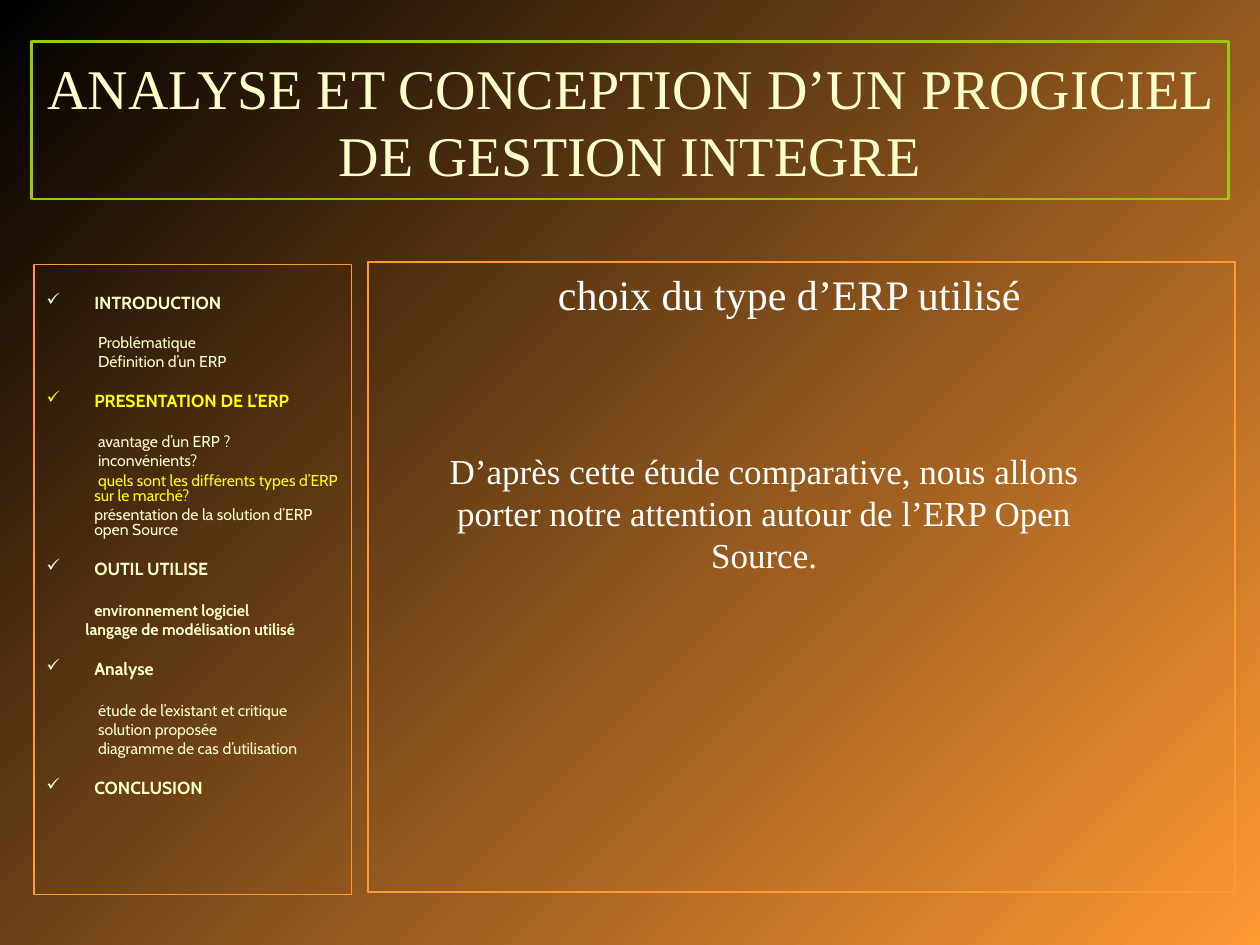
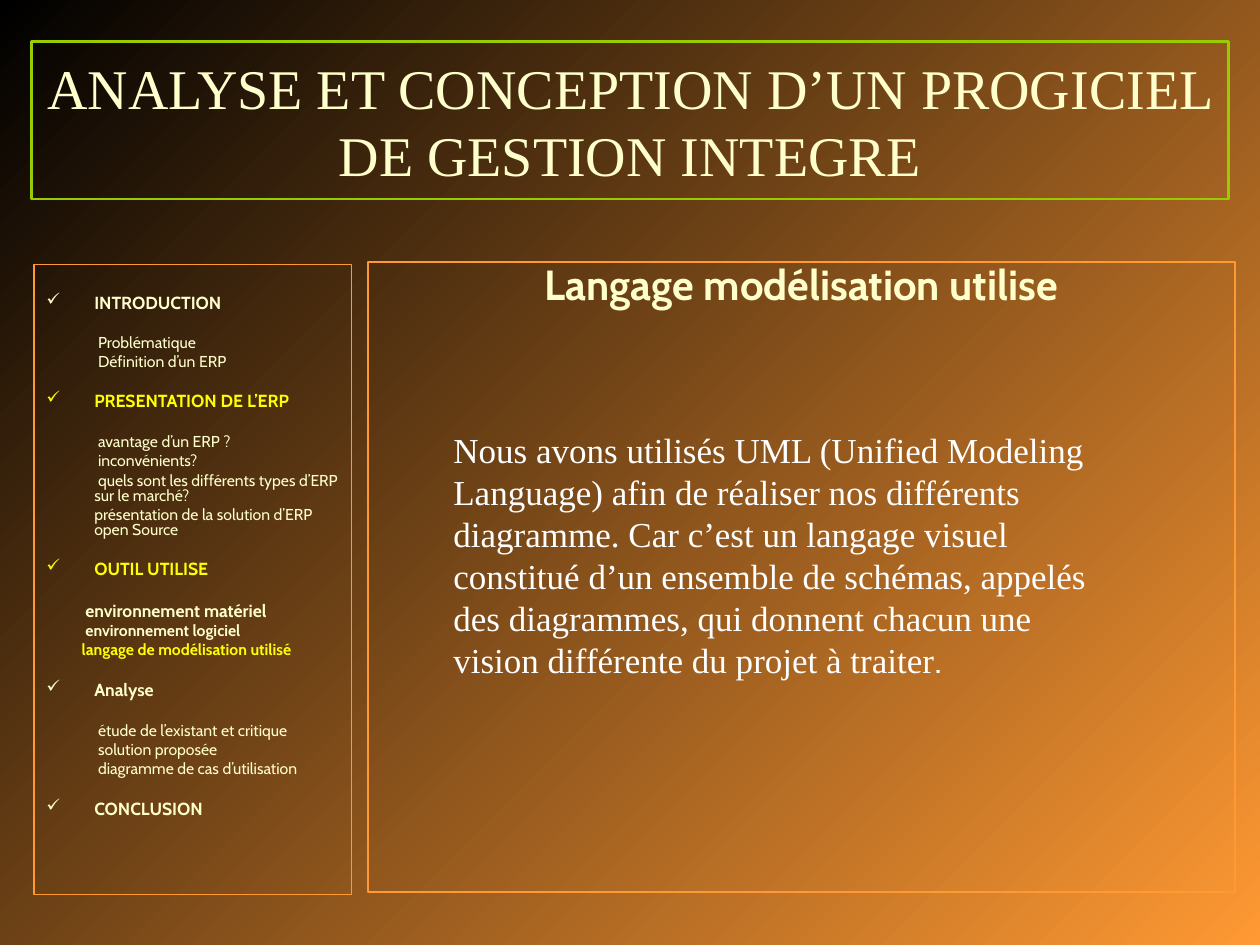
from lxml.etree import SubElement
from pptx import Presentation
from pptx.dml.color import RGBColor
from pptx.enum.shapes import MSO_SHAPE
from pptx.enum.text import MSO_ANCHOR, PP_ALIGN
from pptx.oxml.ns import qn
from pptx.util import Inches, Pt

HUES = {"black": "000000", "orange": "FF9933", "green": "99CC00",
        "cream": "FFFFCC", "yellow": "FFFF00", "white": "FFFFFF"}
SERIF, SANS = "Times New Roman", "Cabin"
TITLE = "ANALYSE ET CONCEPTION D’UN PROGICIEL DE GESTION INTEGRE"

STYLES = {
    "head": {"size": 10, "bold": True, "indent": -0.38, "before": 13.5},
    "item": {"size": 9, "bold": False, "indent": 0.03, "before": 2.2},
    "flush": {"size": 9, "bold": False, "indent": 0, "before": 2.2},
    "tool": {"size": 9, "bold": True, "indent": -0.07, "before": 2.2},
}
START = [
    ("head", "INTRODUCTION"),
    ("item", "Problématique"),
    ("item", "Définition d’un ERP"),
    ("head", "PRESENTATION DE L’ERP"),
    ("item", "avantage d’un ERP ?"),
    ("item", "inconvénients?"),
    ("item", "quels sont les différents types d’ERP sur le marché?"),
    ("flush", "présentation de la solution d’ERP open Source"),
    ("head", "OUTIL UTILISE"),
]
END = [
    ("head", "Analyse"),
    ("item", "étude de l’existant et critique"),
    ("item", "solution proposée"),
    ("item", "diagramme de cas d’utilisation"),
    ("head", "CONCLUSION"),
]
PAGES = [
    {
        "tools": [("environnement logiciel", {"indent": 0}),
                  ("langage de modélisation utilisé", {})],
        "lit": [3, 6],
        "topic": "choix du type d’ERP utilisé",
        "look": {"font": SERIF, "hue": "white", "bold": False},
        "form": {"left": 1.41, "align": PP_ALIGN.LEFT, "lines": 1.0},
        "at": (3.35, 3.52, 5.43, 1.44),
        "align": PP_ALIGN.CENTER,
        "runs": [("D’après cette étude comparative, nous allons porter notre "
                  "attention autour de l’ERP Open Source.", SERIF)],
    },
    {
        "tools": [("environnement matériel", {"size": 10}),
                  ("environnement logiciel", {}),
                  ("langage de modélisation utilisé", {"indent": -0.1})],
        "lit": [3, 8, 11],
        "topic": "Langage modélisation utilise",
        "look": {"font": SANS, "hue": "cream", "bold": True},
        "form": {"left": 0, "align": PP_ALIGN.CENTER, "lines": 0.8},
        "at": (3.5, 3.35, 5.36, 2.1),
        "align": PP_ALIGN.LEFT,
        "runs": [("Nous avons utilisés UML (Unified Modeling Language) afin de "
                  "réaliser nos différents diagramme. Car c’est un langage visuel "
                  "constitué d’un ensemble de schémas, appelés des diagrammes, qui "
                  "donnent chacun une vision différente du projet à traiter", SERIF),
                 (".", SANS)],
    },
]


def frame(slide, at, hue, width, top=0.05, anchor=MSO_ANCHOR.TOP):
    box = slide.shapes.add_shape(MSO_SHAPE.RECTANGLE, *map(Inches, at))
    box.shadow.inherit = False
    box.fill.background()
    box.line.color.rgb = RGBColor.from_string(HUES[hue])
    box.line.width = Pt(width)
    text = box.text_frame
    form = {"word_wrap": True, "vertical_anchor": anchor, "margin_top": Inches(top),
            "margin_left": Inches(0.1), "margin_right": Inches(0.1)}
    for key, value in form.items():
        setattr(text, key, value)
    return text


def write(para, words, font, size, hue, bold=False):
    run = para.add_run()
    run.text = words
    for key, value in {"name": font, "size": Pt(size), "bold": bold}.items():
        setattr(run.font, key, value)
    run.font.color.rgb = RGBColor.from_string(HUES[hue])


prs = Presentation()
prs.slide_width, prs.slide_height = Inches(10), Inches(7.5)
fill = prs.slide_master.background.fill
fill.gradient()
fill.gradient_angle = 315
for stop, spot, hue in zip(fill.gradient_stops, (0, 1), ("black", "orange")):
    stop.position = spot
    stop.color.rgb = RGBColor.from_string(HUES[hue])

for page in PAGES:
    slide = prs.slides.add_slide(prs.slide_layouts[6])

    para = frame(slide, (2.92, 2.08, 6.88, 5), "orange", 1).paragraphs[0]
    form = page["form"]
    para.alignment = form["align"]
    para.line_spacing = form["lines"]
    para._p.get_or_add_pPr().set("marL", str(Inches(form["left"])))
    write(para, page["topic"], size=24, **page["look"])

    menu = frame(slide, (0.27, 2.1, 2.52, 5), "orange", 1, top=0.25)
    tools = [("tool", words, extra) for words, extra in page["tools"]]
    rows = [(*row, {}) for row in START] + tools + [(*row, {}) for row in END]
    last = None
    for i, (kind, words, extra) in enumerate(rows):
        style = {**STYLES[kind], **extra}
        if last == "head":
            style["before"] = 13.2 if i == 1 else 14.4
        para = menu.add_paragraph() if i else menu.paragraphs[0]
        para.alignment = PP_ALIGN.LEFT
        para.line_spacing = 0.8
        para.space_before = Pt(style["before"] if i else 0)
        hue = "yellow" if i in page["lit"] else "cream"
        props = para._p.get_or_add_pPr()
        props.set("marL", str(Inches(0.38)))
        props.set("indent", str(Inches(style["indent"])))
        if kind == "head":
            tint = SubElement(props, qn("a:buClr"))
            SubElement(tint, qn("a:srgbClr"), val=HUES[hue])
            SubElement(props, qn("a:buChar"), char="✓")
        write(para, words, SANS, style["size"], hue, style["bold"])
        last = kind

    para = frame(slide, (0.25, 0.33, 9.5, 1.25), "green", 1.5,
                 anchor=MSO_ANCHOR.MIDDLE).paragraphs[0]
    para.alignment = PP_ALIGN.CENTER
    write(para, TITLE, SERIF, 32, "cream")

    note = slide.shapes.add_textbox(*map(Inches, page["at"])).text_frame
    note.word_wrap = True
    para = note.paragraphs[0]
    para.alignment = page["align"]
    for words, font in page["runs"]:
        write(para, words, font, 20, "white")

prs.save("out.pptx")
